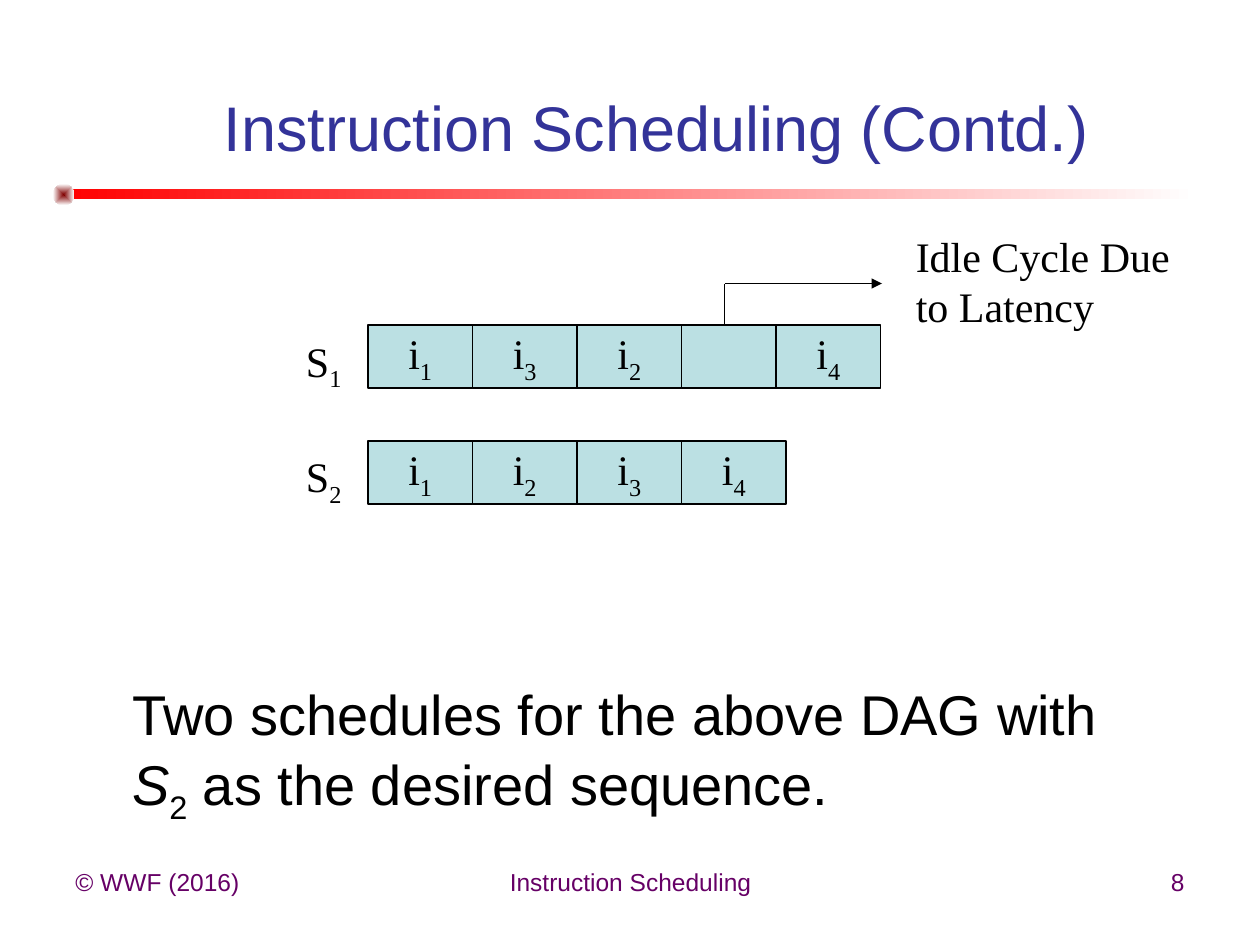
from lxml.etree import SubElement
from pptx import Presentation
from pptx.dml.color import RGBColor
from pptx.enum.shapes import MSO_CONNECTOR, MSO_SHAPE
from pptx.enum.text import MSO_ANCHOR, PP_ALIGN
from pptx.oxml import parse_xml
from pptx.oxml.ns import nsdecls, qn
from pptx.util import Inches, Pt

COLORS = {
    "title": "333399", "text": "000000", "footer": "660066", "cell": "BBE0E3",
    "red": "FF0000", "maroon": "800000", "white": "FFFFFF",
}
SANS, SERIF = "Arial", "Times New Roman"
CELL_WIDTH, CELL_HEIGHT = 0.83, 0.5
ROW_LEFT, CELL_STEP, IDLE_STEP = 2.92, 0.83, 0.75


def rgb(name):
    return RGBColor.from_string(COLORS[name])


class ScheduleSlide:
    """Holds the slide and its shared style."""

    def __init__(self, slide):
        self.slide = slide
        self.line_width = Pt(0.75)

    def fill_text(self, frame, lines, size, font, color="text", align=PP_ALIGN.LEFT,
                  spacing=1.0):
        """Each line is a list of runs; a run is (text, style)."""
        for index, runs in enumerate(lines):
            paragraph = frame.add_paragraph() if index else frame.paragraphs[0]
            paragraph.alignment = align
            paragraph.line_spacing = spacing
            paragraph.font.size = Pt(size)
            paragraph.font.name = font
            paragraph.font.color.rgb = rgb(color)
            for text, style in runs:
                run = paragraph.add_run()
                run.text = text
                if style == "italic":
                    run.font.italic = True
                elif style == "sub":
                    run.font._element.set("baseline", "-25000")

    def text(self, left, top, width, height, lines, size, font,
             anchor=MSO_ANCHOR.TOP, **style):
        box = self.slide.shapes.add_textbox(
            Inches(left), Inches(top), Inches(width), Inches(height))
        box.text_frame.word_wrap = True
        box.text_frame.vertical_anchor = anchor
        self.fill_text(box.text_frame, lines, size, font, **style)

    def shape(self, kind, left, top, width, height):
        shape = self.slide.shapes.add_shape(
            kind, Inches(left), Inches(top), Inches(width), Inches(height))
        shape.shadow.inherit = False
        return shape

    def gradient(self, kind, left, top, width, height, start, direction):
        shape = self.shape(kind, left, top, width, height)
        shape.line.fill.background()
        fill = parse_xml(
            f'<a:gradFill {nsdecls("a")} rotWithShape="1"><a:gsLst>'
            f'<a:gs pos="0"><a:srgbClr val="{COLORS[start]}"/></a:gs>'
            f'<a:gs pos="100000"><a:srgbClr val="{COLORS["white"]}"/></a:gs>'
            f'</a:gsLst>{direction}</a:gradFill>')
        shape._element.spPr.find(qn("a:prstGeom")).addnext(fill)

    def cell(self, left, top, number):
        shape = self.shape(MSO_SHAPE.RECTANGLE, left, top, CELL_WIDTH, CELL_HEIGHT)
        shape.fill.solid()
        shape.fill.fore_color.rgb = rgb("cell")
        shape.line.color.rgb = rgb("text")
        shape.line.width = self.line_width
        if number:
            frame = shape.text_frame
            frame.word_wrap = False
            frame.vertical_anchor = MSO_ANCHOR.MIDDLE
            self.fill_text(frame, [[("i", None), (number, "sub")]], 24, SERIF,
                           align=PP_ALIGN.CENTER)

    def line(self, start, end, arrow=False):
        connector = self.slide.shapes.add_connector(
            MSO_CONNECTOR.STRAIGHT, *map(Inches, start + end))
        connector.line.color.rgb = rgb("text")
        connector.line.width = self.line_width
        properties = connector._element.spPr
        if arrow:
            SubElement(properties.find(qn("a:ln")), qn("a:tailEnd"), type="triangle")
        SubElement(properties, qn("a:effectLst"))


presentation = Presentation()
presentation.slide_width, presentation.slide_height = Inches(10), Inches(7.5)
page = ScheduleSlide(presentation.slides.add_slide(presentation.slide_layouts[6]))

# Title and its rule
page.gradient(MSO_SHAPE.RECTANGLE, 0.5, 1.5, 9, 0.08, "red", '<a:lin ang="0" scaled="1"/>')
page.gradient(MSO_SHAPE.OVAL, 0.42, 1.46, 0.17, 0.17, "maroon",
              '<a:path path="shape"><a:fillToRect l="50000" t="50000" '
              'r="50000" b="50000"/></a:path>')
page.text(1.14, 0.74, 8.14, 0.53, [[("Instruction Scheduling (Contd.)", None)]], 36, SANS,
          anchor=MSO_ANCHOR.MIDDLE, color="title", align=PP_ALIGN.CENTER)

# Schedules: None marks the idle cycle
schedules = [("1", 2.58, ["1", "3", "2", None, "4"]),
             ("2", 3.5, ["1", "2", "3", "4"])]
for name, top, instructions in schedules:
    page.text(2.33, top + 0.03, 0.67, CELL_HEIGHT, [[("S", None), (name, "sub")]], 24, SERIF)
    left = ROW_LEFT
    for number in instructions:
        page.cell(left, top, number)
        left += CELL_STEP if number else IDLE_STEP

# Idle cycle callout
page.line((5.75, 2.58), (5.75, 2.25))
page.line((5.75, 2.25), (7, 2.25), arrow=True)
page.text(7.17, 1.78, 2.83, 0.87, [[("Idle Cycle Due", None)], [("to Latency", None)]],
          24, SERIF)

# Conclusion
page.text(0.95, 5.32, 8.33, 1.3,
          [[("Two schedules for the above DAG with ", None), ("S", "italic"),
            ("2", "sub"), (" as the desired sequence.", None)]],
          32, SANS, spacing=1.04)

# Footer
footers = [(0.5, 2.33, "© WWF (2016)", PP_ALIGN.LEFT),
           (3.42, 3.17, "Instruction Scheduling", PP_ALIGN.CENTER),
           (7.17, 2.33, "8", PP_ALIGN.RIGHT)]
for left, width, text, align in footers:
    page.text(left, 6.83, width, 0.52, [[(text, None)]], 14, SANS, color="footer", align=align)

presentation.save("out.pptx")
